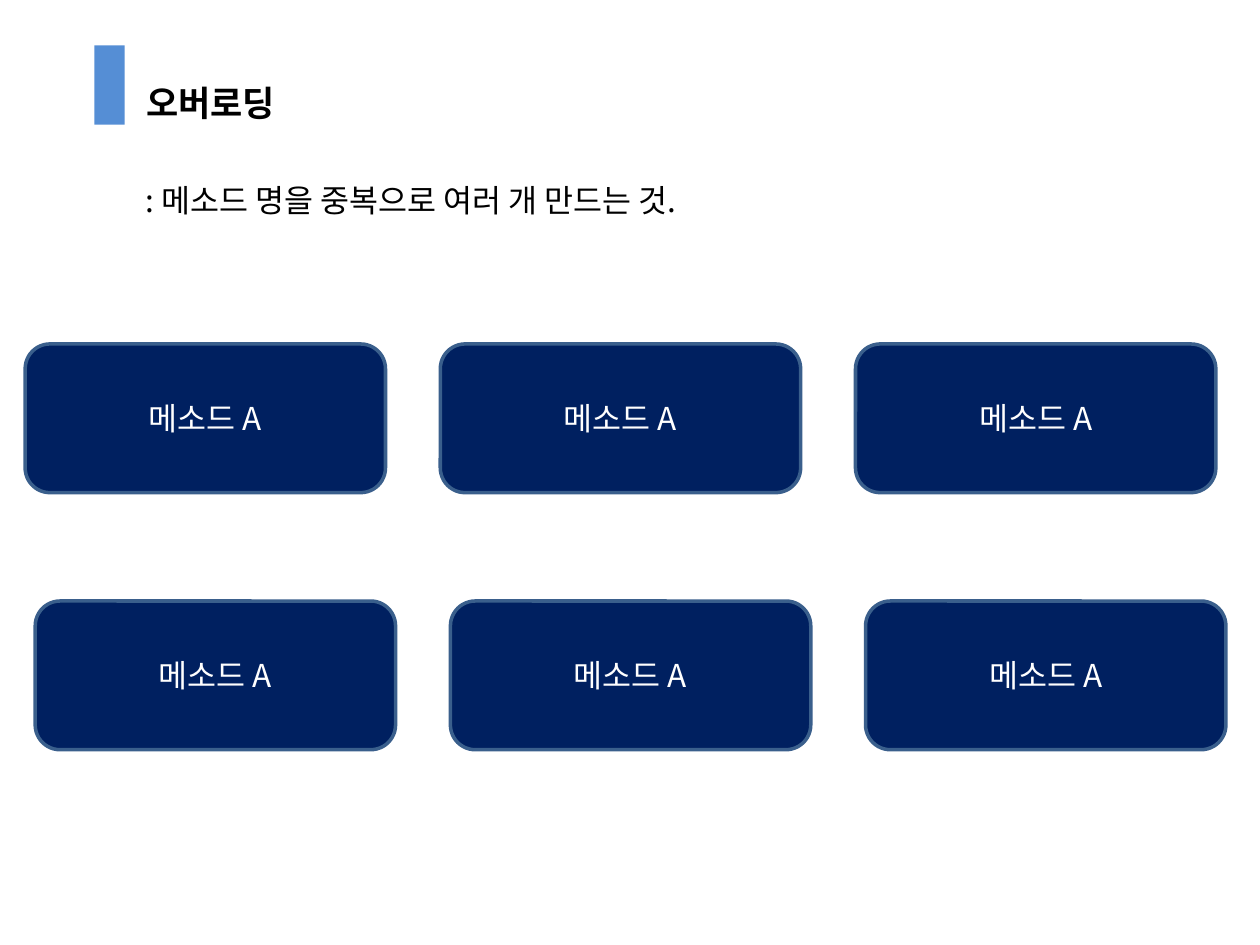
from dataclasses import dataclass

import lxml.etree
import pptx
import pptx.dml.color
import pptx.enum.shapes
import pptx.enum.text
import pptx.oxml.ns
import pptx.shapes.base
import pptx.text.text
import pptx.util

FONT_NAME = "Noto Sans CJK KR"
BLACK = pptx.dml.color.RGBColor(0x00, 0x00, 0x00)
WHITE = pptx.dml.color.RGBColor(0xFF, 0xFF, 0xFF)
NAVY = pptx.dml.color.RGBColor(0x00, 0x20, 0x60)
STEEL = pptx.dml.color.RGBColor(0x3A, 0x5F, 0x8C)
ACCENT = pptx.dml.color.RGBColor(0x55, 0x8E, 0xD5)

BOX_WIDTH, BOX_HEIGHT = 2.86, 1.18
COLUMN_STEP = 3.295
COLUMN_COUNT = 3


@dataclass(frozen=True)
class MethodRow:
    left: float
    top: float
    label: str


METHOD_ROWS = [MethodRow(0.2, 2.73, "메소드 A"), MethodRow(0.28, 4.77, "메소드 A")]


def write_text(
    frame: pptx.text.text.TextFrame,
    text: str,
    size: float,
    color: pptx.dml.color.RGBColor,
    alignment: pptx.enum.text.PP_ALIGN,
    anchor: pptx.enum.text.MSO_ANCHOR,
    bold: bool = False,
) -> None:
    """Fill a frame with one paragraph in the slide's typeface."""
    frame.text = text
    frame.word_wrap = True
    frame.vertical_anchor = anchor
    paragraph = frame.paragraphs[0]
    paragraph.alignment = alignment
    font = paragraph.font
    font.name = FONT_NAME
    font.size = pptx.util.Pt(size)
    font.bold = bold
    font.color.rgb = color
    # Korean glyphs take the East Asian typeface
    properties = paragraph._p.pPr.find(pptx.oxml.ns.qn("a:defRPr"))
    east_asian = lxml.etree.SubElement(properties, pptx.oxml.ns.qn("a:ea"))
    east_asian.set("typeface", FONT_NAME)


def place(shape: pptx.shapes.base.BaseShape, left: float, top: float, width: float, height: float) -> None:
    shape.left, shape.top = pptx.util.Inches(left), pptx.util.Inches(top)
    shape.width, shape.height = pptx.util.Inches(width), pptx.util.Inches(height)


def add_method_row(slide: pptx.slide.Slide, row: MethodRow) -> None:
    for column in range(COLUMN_COUNT):
        box = slide.shapes.add_shape(
            pptx.enum.shapes.MSO_SHAPE.ROUNDED_RECTANGLE,
            pptx.util.Inches(row.left + column * COLUMN_STEP),
            pptx.util.Inches(row.top),
            pptx.util.Inches(BOX_WIDTH),
            pptx.util.Inches(BOX_HEIGHT),
        )
        box.shadow.inherit = False
        box.fill.solid()
        box.fill.fore_color.rgb = NAVY
        box.line.color.rgb = STEEL
        box.line.width = pptx.util.Pt(2)
        write_text(box.text_frame, row.label, 18, WHITE,
                   pptx.enum.text.PP_ALIGN.CENTER, pptx.enum.text.MSO_ANCHOR.MIDDLE)


presentation = pptx.Presentation()
presentation.slide_width = pptx.util.Inches(10)
presentation.slide_height = pptx.util.Inches(7.5)
slide = presentation.slides.add_slide(presentation.slide_layouts.get_by_name("Title Only"))

# Title
title = slide.shapes.title
place(title, 1.06, 0.6, 7.4, 0.44)
write_text(title.text_frame, "오버로딩", 20, BLACK,
           pptx.enum.text.PP_ALIGN.LEFT, pptx.enum.text.MSO_ANCHOR.TOP, bold=True)
title.text_frame.auto_size = pptx.enum.text.MSO_AUTO_SIZE.NONE

# Definition
definition = slide.shapes.add_textbox(
    pptx.util.Inches(1.06), pptx.util.Inches(1.39), pptx.util.Inches(7.4), pptx.util.Inches(0.4)
)
write_text(definition.text_frame, ": 메소드 명을 중복으로 여러 개 만드는 것.", 18, BLACK,
           pptx.enum.text.PP_ALIGN.LEFT, pptx.enum.text.MSO_ANCHOR.TOP)

# Method boxes
for method_row in METHOD_ROWS:
    add_method_row(slide, method_row)

# Accent bar beside the title
accent_bar = slide.shapes.add_shape(
    pptx.enum.shapes.MSO_SHAPE.RECTANGLE,
    pptx.util.Inches(0.75), pptx.util.Inches(0.36), pptx.util.Inches(0.24), pptx.util.Inches(0.63),
)
accent_bar.shadow.inherit = False
accent_bar.fill.solid()
accent_bar.fill.fore_color.rgb = ACCENT
accent_bar.line.fill.background()

presentation.save("out.pptx")
